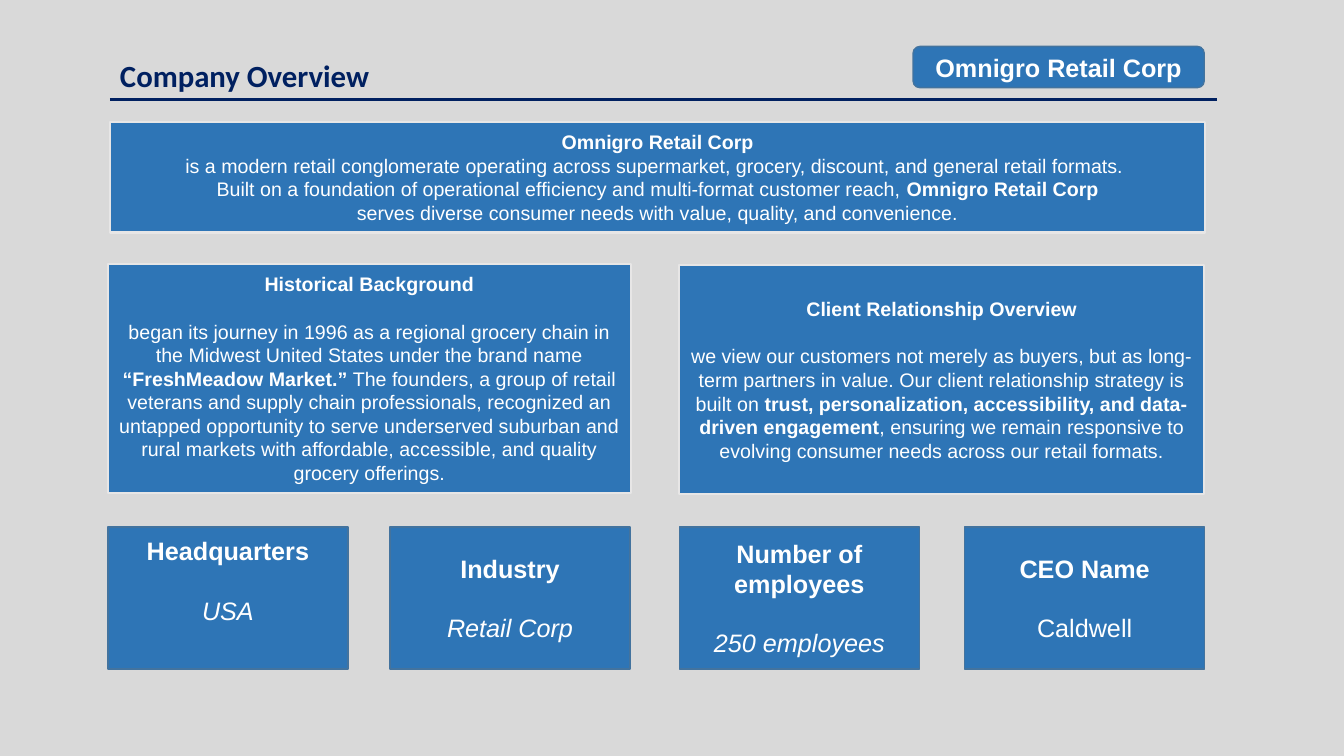
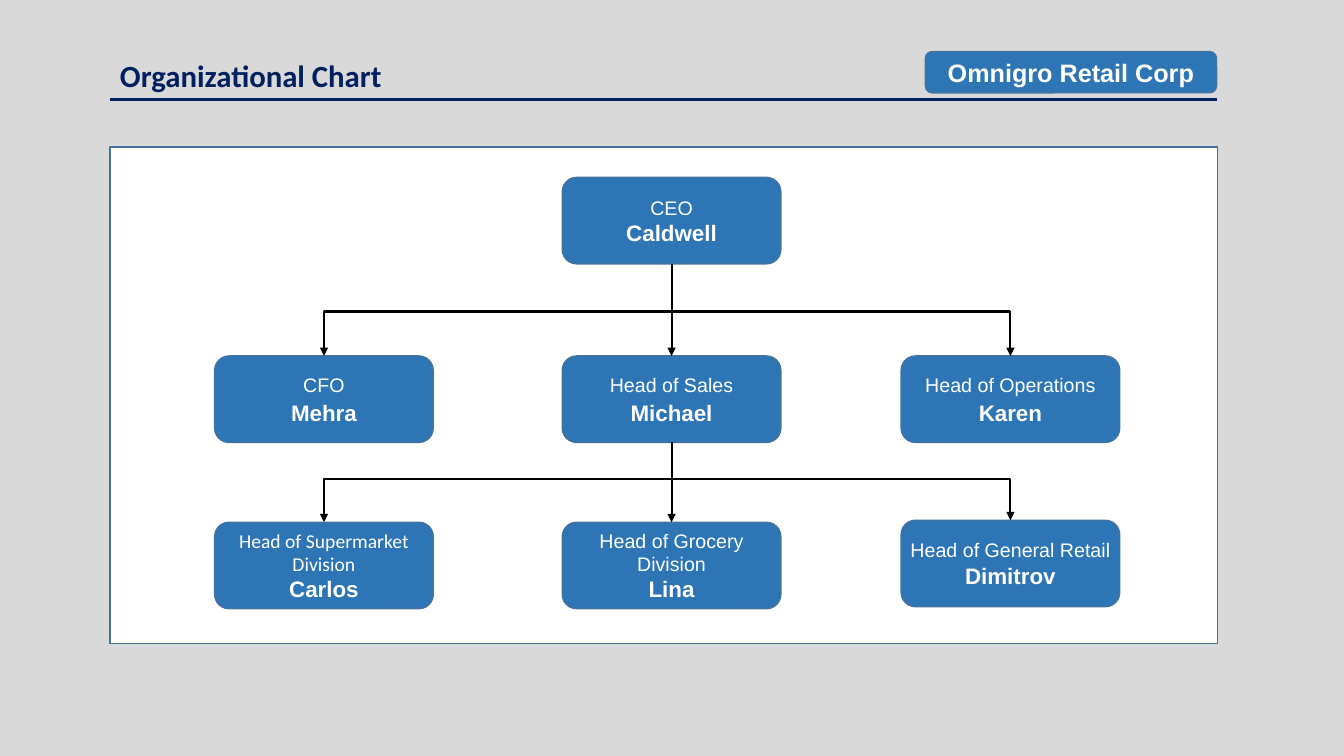
import lxml.etree
import pptx
import pptx.dml.color
import pptx.enum.shapes
import pptx.enum.text
import pptx.oxml.ns
import pptx.util

Cm, Pt = pptx.util.Cm, pptx.util.Pt
qn = pptx.oxml.ns.qn
KIND = pptx.enum.shapes.MSO_SHAPE
LINK = pptx.enum.shapes.MSO_CONNECTOR
MID = pptx.enum.text.MSO_ANCHOR.MIDDLE
TOP = pptx.enum.text.MSO_ANCHOR.TOP
LEFT = pptx.enum.text.PP_ALIGN.LEFT
MIDST = pptx.enum.text.PP_ALIGN.CENTER
BLUE, EDGE, NAVY, PALE = "2E75B6", "43739E", "002060", "E7E6E6"
WHITE, BLACK, GREY = "FFFFFF", "000000", "D9D9D9"
FIRM = "Omnigro Retail Corp"


def hue(code):
    return pptx.dml.color.RGBColor.from_string(code)


def box(slide, kind, place, lines=(), fill=BLUE, edge=EDGE, width=1, inset=None):
    """Draw a box; each line is (text, size, space before, other font values).

    Text between asterisks is bold.
    """
    shape = slide.shapes.add_shape(kind, *map(Cm, place))
    shape.shadow.inherit = False
    shape.fill.solid()
    shape.fill.fore_color.rgb = hue(fill)
    shape.line.color.rgb = hue(edge)
    shape.line.width = Pt(width)
    frame = shape.text_frame
    frame.word_wrap = True
    frame.vertical_anchor = MID
    if inset is not None:
        for side in ("left", "top", "right", "bottom"):
            setattr(frame, "margin_" + side, Cm(inset))
    for row, (text, size, gap, more) in enumerate(lines):
        para = frame.add_paragraph() if row else frame.paragraphs[0]
        para.alignment = MIDST
        para.space_before = Pt(gap)
        for part, piece in enumerate(text.split("*")):
            if not piece:
                continue
            run = para.add_run()
            run.text = piece
            run.font.color.rgb = hue(WHITE)
            look = {"name": "Arial", "size": Pt(size), "bold": part % 2 == 1}
            for key, value in {**look, **more}.items():
                setattr(run.font, key, value)
    return shape


deck = pptx.Presentation()
deck.slide_width, deck.slide_height = Cm(33.87), Cm(19.05)
ground = deck.slide_master.background.fill
ground.solid()
ground.fore_color.rgb = hue(GREY)
layout = deck.slide_layouts[5]
spot = {"left": 2.77, "top": 1.3, "width": 9.3, "height": 1.19}
for key, value in spot.items():
    setattr(layout.placeholders[0], key, Cm(value))

# Shared header: title, company badge and rule
slides, lines = [], []
for title, x, y in (("Company Overview", 23.01, 1.17),
                    ("Organizational Chart", 23.32, 1.3)):
    slide = deck.slides.add_slide(layout)
    slides.append(slide)
    frame = slide.shapes.title.text_frame
    frame.text = title
    frame.word_wrap = True
    frame.auto_size = pptx.enum.text.MSO_AUTO_SIZE.NONE
    frame.vertical_anchor = TOP
    para = frame.paragraphs[0]
    para.alignment = LEFT
    font = para.runs[0].font
    for key, value in {"name": "Calibri", "size": Pt(22), "bold": True}.items():
        setattr(font, key, value)
    font.color.rgb = hue(NAVY)
    box(slide, KIND.ROUNDED_RECTANGLE, (x, y, 7.34, 1.04),
        [(f"*{FIRM}*", 18, 0, {})])
    lines.append((slide, 2.77, 2.51, 30.66, 2.51, NAVY, 2.25))
about, chart = slides

# Company overview
panels = [
    ((2.77, 3.07, 27.61, 2.79), [
        (f"*{FIRM}*", 0),
        ("is a modern retail conglomerate operating across supermarket, grocery, "
         "discount, and general retail formats. ", 0),
        ("Built on a foundation of operational efficiency and multi-format "
         f"customer reach, *{FIRM}*", 0),
        ("serves diverse consumer needs with value, quality, and convenience.", 0)]),
    ((2.72, 6.65, 13.18, 5.77), [
        ("*Historical Background*", 0),
        ("began its journey in 1996 as a regional grocery chain in the Midwest "
         "United States under the brand name *“FreshMeadow Market.”* The founders, "
         "a group of retail veterans and supply chain professionals, recognized an "
         "untapped opportunity to serve underserved suburban and rural markets "
         "with affordable, accessible, and quality grocery offerings.", 17)]),
    ((17.12, 6.68, 13.23, 5.77), [
        ("*Client Relationship Overview*", 0),
        ("we view our customers not merely as buyers, but as long-term partners in "
         "value. Our client relationship strategy is built on *trust, "
         "personalization, accessibility, and data-driven engagement*, ensuring we "
         "remain responsive to evolving consumer needs across our retail "
         "formats.", 17)]),
]
for place, rows in panels:
    box(about, KIND.RECTANGLE, place,
        [(text, 14, gap, {}) for text, gap in rows], edge=PALE, width=1.5)

facts = [
    (2.72, "Headquarters", "USA", True, 1),
    (9.83, "Industry", "Retail Corp", True, 0.13),
    (17.12, "Number of employees", "250 employees", True, 0.13),
    (24.31, "CEO Name", "Caldwell", False, 0.13),
]
for x, name, value, slant, foot in facts:
    card = box(about, KIND.RECTANGLE, (x, 13.28, 6.05, 3.58),
               [(f"*{name}*", 18, 0, {}), (value, 18, 21, {"italic": slant})])
    card.text_frame.margin_bottom = Cm(foot)

# Organizational chart
box(chart, KIND.RECTANGLE, (2.77, 3.71, 27.91, 12.5), fill=WHITE)
wide, high = 5.51, 2.18
cols = (5.41, 14.17, 22.71)
staff = [
    (1, 4.47, "CEO", "Caldwell", 0, "Arial"),
    (0, 8.97, "CFO", "Mehra", 2, "Arial"),
    (1, 8.97, "Head of Sales", "Michael", 2, "Arial"),
    (2, 8.97, "Head of Operations", "Karen", 2, "Arial"),
    (0, 13.16, "Head of Supermarket Division", "Carlos", 0, "Calibri"),
    (1, 13.16, "Head of Grocery Division", "Lina", 0, "Arial"),
    (2, 13.11, "Head of General Retail", "Dimitrov", 0, "Arial"),
]
for col, y, role, name, gap, face in staff:
    box(chart, KIND.ROUNDED_RECTANGLE, (cols[col], y, wide, high),
        [(role, 14, 0, {"name": face}), (f"*{name}*", 16, gap, {})], inset=0)

west, mid, east = [x + wide / 2 for x in cols]
for start, bus, end, last in ((4.47 + high, 7.85, 8.97, 8.97),
                              (8.97 + high, 12.06, 13.16, 13.11)):
    for x1, y1, x2, y2 in ((mid, bus, west, end), (mid, bus, east, last),
                           (mid, start, mid, end)):
        lines.append((chart, x1, y1, x2, y2, BLACK, 1.5))

for slide, x1, y1, x2, y2, ink, width in lines:
    bent = x1 != x2 and y1 != y2
    kind = LINK.ELBOW if bent else LINK.STRAIGHT
    ends = (min(x1, x2), y1, max(x1, x2), y2)
    link = slide.shapes.add_connector(kind, *map(Cm, ends))
    link.line.color.rgb = hue(ink)
    link.line.width = Pt(width)
    props = link._element.spPr
    if bent:
        props.find(qn("a:prstGeom")).set("prst", "bentConnector2")
    if x2 < x1:
        turn = props.find(qn("a:xfrm"))
        turn.set("rot", "10800000")
        turn.set("flipV", "1")
    if slide is chart and ink == BLACK:
        lxml.etree.SubElement(props.find(qn("a:ln")), qn("a:tailEnd"), type="triangle")
    lxml.etree.SubElement(props, qn("a:effectLst"))

deck.save("out.pptx")
